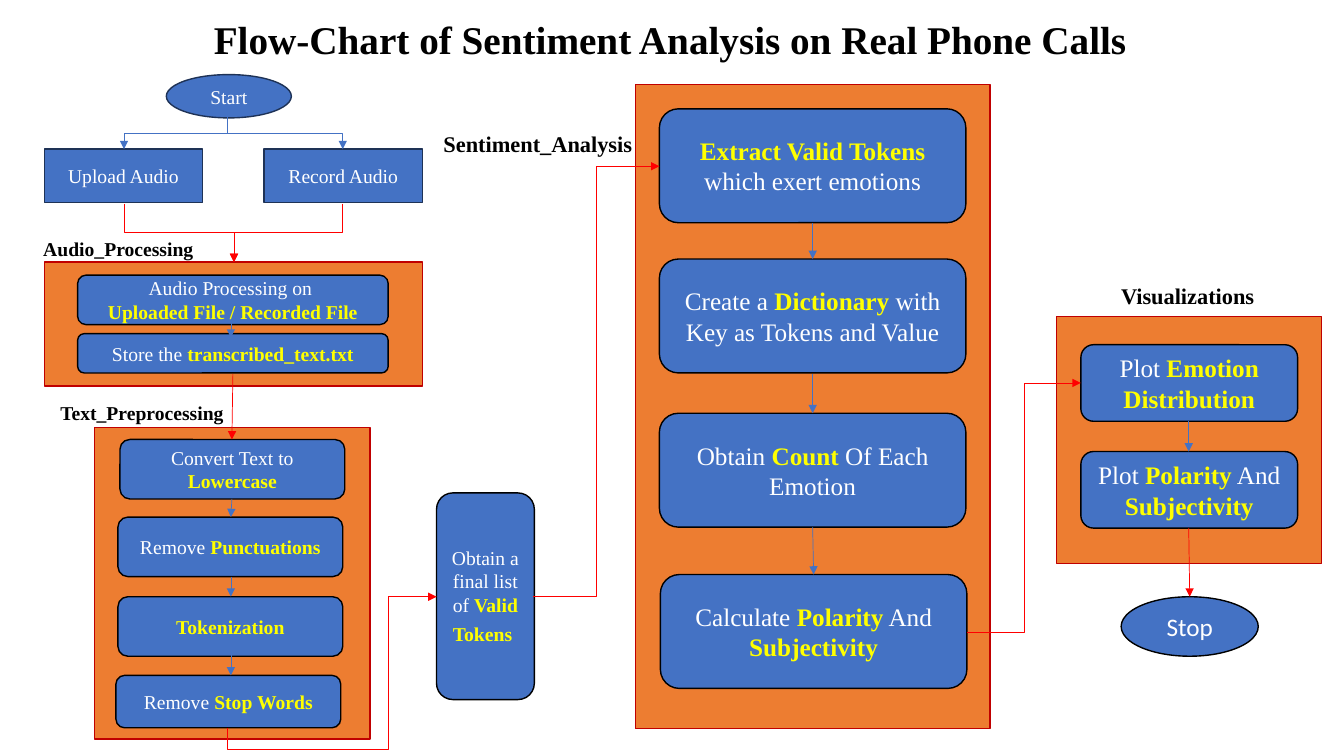
from dataclasses import dataclass

from lxml.etree import SubElement
from pptx import Presentation
from pptx.dml.color import RGBColor
from pptx.enum.shapes import MSO_CONNECTOR as Link, MSO_SHAPE as Preset
from pptx.enum.text import MSO_ANCHOR as Anchor, MSO_AUTO_SIZE as AutoSize, PP_ALIGN as Align
from pptx.oxml.ns import qn
from pptx.util import Inches, Pt

SERIF, SANS = "Times New Roman", "Calibri"
BLUE, ORANGE, RED, CRIMSON = "4472C4", "ED7D31", "FF0000", "C00000"
NAVY, BLACK, WHITE, YELLOW = "1E3256", "000000", "FFFFFF", "FFFF00"
Point = tuple[float, float]


@dataclass
class Step:
    """A flow-chart box; *stars* in its text mark the highlighted words."""
    left: float
    top: float
    width: float
    height: float
    text: str = ""
    size: int = 14
    preset: Preset = Preset.ROUNDED_RECTANGLE
    outline: str = BLACK
    fill: str = BLUE
    font: str = SERIF


@dataclass
class Label:
    left: float
    top: float
    width: float
    height: float
    text: str
    size: int


@dataclass
class Arrow:
    start: Point
    end: Point
    color: str = BLUE


@dataclass
class Elbow(Arrow):
    """A bent arrow; one that leaves vertically is a rotated connector."""
    vertical: bool = False
    bends: tuple[int, ...] = ()


def rgb(color: str) -> RGBColor:
    return RGBColor.from_string(color)


def apply(target, formats: dict) -> None:
    for name, value in formats.items():
        setattr(target, name, value)


def add_span(para, text: str, size: int, color: str, bold: bool = False, font: str = SERIF) -> None:
    span = para.add_run()
    span.text = text
    apply(span.font, {"name": font, "size": Pt(size), "bold": bold})
    span.font.color.rgb = rgb(color)


def add_step(page, step: Step):
    box = page.shapes.add_shape(
        step.preset, *map(Inches, (step.left, step.top, step.width, step.height)))
    box.shadow.inherit = False
    box.fill.solid()
    box.fill.fore_color.rgb = rgb(step.fill)
    box.line.color.rgb = rgb(step.outline)
    box.line.width = Pt(1)
    frame = box.text_frame
    apply(frame, {"word_wrap": True, "vertical_anchor": Anchor.MIDDLE})
    for row, text in enumerate(step.text.split("\n")):
        para = frame.add_paragraph() if row else frame.paragraphs[0]
        para.alignment = Align.CENTER
        for index, words in enumerate(text.split("*")):
            marked = index % 2 == 1
            if words:
                add_span(para, words, step.size, YELLOW if marked else WHITE, marked, step.font)
    return box


def add_label(page, label: Label) -> None:
    box = page.shapes.add_textbox(
        *map(Inches, (label.left, label.top, label.width, label.height)))
    box.text_frame.word_wrap = True
    add_span(box.text_frame.paragraphs[0], label.text, label.size, BLACK, True)


def add_arrow(page, arrow: Arrow) -> None:
    (x1, y1), (x2, y2) = arrow.start, arrow.end
    bent = isinstance(arrow, Elbow)
    turned = bent and arrow.vertical
    down, right = y2 > y1, x2 > x1
    if turned:
        mid_x, mid_y = (x1 + x2) / 2, (y1 + y2) / 2
        half_w, half_h = abs(y2 - y1) / 2, abs(x2 - x1) / 2
        if down and right:
            half_w = -half_w
        x1, x2 = mid_x - half_w, mid_x + half_w
        y1, y2 = mid_y - half_h, mid_y + half_h
    line = page.shapes.add_connector(
        Link.ELBOW if bent else Link.STRAIGHT, *map(Inches, (x1, y1, x2, y2)))
    line.line.color.rgb = rgb(arrow.color)
    line.line.width = Pt(0.5)
    props = line._element.spPr
    SubElement(props.find(qn("a:ln")), qn("a:tailEnd"), type="triangle")
    SubElement(props, qn("a:effectLst"))
    if turned:
        angle = 90 if down and not right else 270
        props.find(qn("a:xfrm")).set("rot", str(angle * 60000))
    if bent and arrow.bends:
        geometry = props.find(qn("a:prstGeom"))
        geometry.set("prst", f"bentConnector{len(arrow.bends) + 2}")
        guides = geometry.find(qn("a:avLst"))
        for number, bend in enumerate(arrow.bends, 1):
            SubElement(guides, qn("a:gd"), name=f"adj{number}", fmla=f"val {bend}")


def add_title(page, text: str) -> None:
    title = page.shapes.title
    apply(title, dict(zip(("left", "top", "width", "height"),
                          map(Inches, (1.82, 0.1, 10.95, 0.57)))))
    apply(title.text_frame, {"margin_left": Inches(0.3), "vertical_anchor": Anchor.TOP,
                             "word_wrap": True, "auto_size": AutoSize.NONE})
    para = title.text_frame.paragraphs[0]
    para.alignment = Align.LEFT
    add_span(para, text, 28, BLACK, True)


PANELS = [Step(*area, preset=Preset.RECTANGLE, outline=CRIMSON, fill=ORANGE) for area in (
    (0.44, 2.6, 3.75, 1.23), (0.94, 4.24, 2.73, 3.09),
    (6.3, 0.84, 3.52, 6.39), (10.48, 3.14, 2.63, 2.45))]

STEPS = [
    Step(1.65, 0.74, 1.24, 0.43, "Start", preset=Preset.OVAL, outline=NAVY),
    Step(0.44, 1.48, 1.57, 0.53, "Upload Audio", preset=Preset.RECTANGLE, outline=NAVY),
    Step(2.62, 1.48, 1.57, 0.53, "Record Audio", preset=Preset.RECTANGLE, outline=NAVY),
    Step(0.77, 2.73, 3.08, 0.49, "Audio Processing on \n*Uploaded File / Recorded File*"),
    Step(0.77, 3.31, 3.08, 0.39, "Store the *transcribed_text.txt*"),
    Step(1.19, 4.36, 2.23, 0.59, "Convert Text to *Lowercase*"),
    Step(1.17, 5.13, 2.23, 0.59, "Remove *Punctuations*"),
    Step(1.17, 5.92, 2.23, 0.59, "*Tokenization*"),
    Step(1.15, 6.7, 2.23, 0.52, "Remove *Stop Words*"),
    Step(6.54, 1.08, 3.04, 1.13, "*Extract Valid Tokens *which exert emotions", 18),
    Step(6.54, 2.57, 3.04, 1.13, "Create a *Dictionary* with Key as Tokens and Value", 18),
    Step(6.54, 4.1, 3.04, 1.13, "Obtain *Count *Of Each Emotion", 18),
    Step(6.55, 5.7, 3.04, 1.13, "Calculate *Polarity* And *Subjectivity*", 18),
    Step(10.72, 3.42, 2.15, 0.76, "Plot *Emotion Distribution*", 18),
    Step(10.72, 4.48, 2.15, 0.76, "Plot *Polarity* And *Subjectivity*", 18),
    Step(11.12, 5.92, 1.36, 0.59, "Stop", 18, Preset.OVAL, font=SANS),
]
TOKEN_LIST = Step(4.33, 4.89, 0.97, 2.05, "Obtain a final list of *Valid Tokens*")

LABELS = [
    Label(0.33, 2.3, 1.72, 0.34, "Audio_Processing", 14),
    Label(0.5, 3.93, 2.34, 0.34, "Text_Preprocessing", 14),
    Label(4.3, 1.24, 2.09, 0.37, "Sentiment_Analysis", 16),
    Label(11.02, 2.75, 1.85, 0.37, "Visualizations", 16),
]

ARROWS = [
    *(Elbow((2.26, 1.16), (x, 1.48), vertical=True) for x in (1.23, 3.4)),
    *(Elbow((x, 2.02), (2.32, 2.6), RED, vertical=True) for x in (1.23, 3.4)),
    Arrow((2.29, 3.17), (2.29, 3.35)),
    Arrow((2.31, 3.71), (2.3, 4.36), RED),
    Arrow((2.3, 4.95), (2.29, 5.13)),
    Arrow((2.29, 5.72), (2.29, 5.92)),
    Arrow((2.29, 6.5), (2.29, 6.7)),
    Elbow((2.26, 7.22), (4.33, 5.92), RED, vertical=True, bends=(-16800, 77000)),
    Elbow((5.29, 5.92), (6.54, 1.65), RED),
    Arrow((8.06, 2.21), (8.06, 2.57)),
    Arrow((8.06, 3.71), (8.06, 4.1)),
    Arrow((8.06, 5.23), (8.07, 5.7)),
    Elbow((9.59, 6.27), (10.72, 3.8), RED),
    Arrow((11.79, 4.18), (11.79, 4.48)),
    Arrow((11.79, 5.24), (11.8, 5.92), RED),
]


def main() -> None:
    deck = Presentation()
    apply(deck, {"slide_width": Inches(13.33), "slide_height": Inches(7.5)})
    page = deck.slides.add_slide(deck.slide_layouts[5])
    add_title(page, "Flow-Chart of Sentiment Analysis on Real Phone Calls")
    for step in PANELS + STEPS:
        add_step(page, step)
    token_box = add_step(page, TOKEN_LIST)
    add_span(token_box.text_frame.paragraphs[0], " ", 18, WHITE, font=SANS)
    for label in LABELS:
        add_label(page, label)
    for arrow in ARROWS:
        add_arrow(page, arrow)
    deck.save("out.pptx")


if __name__ == "__main__":
    main()
